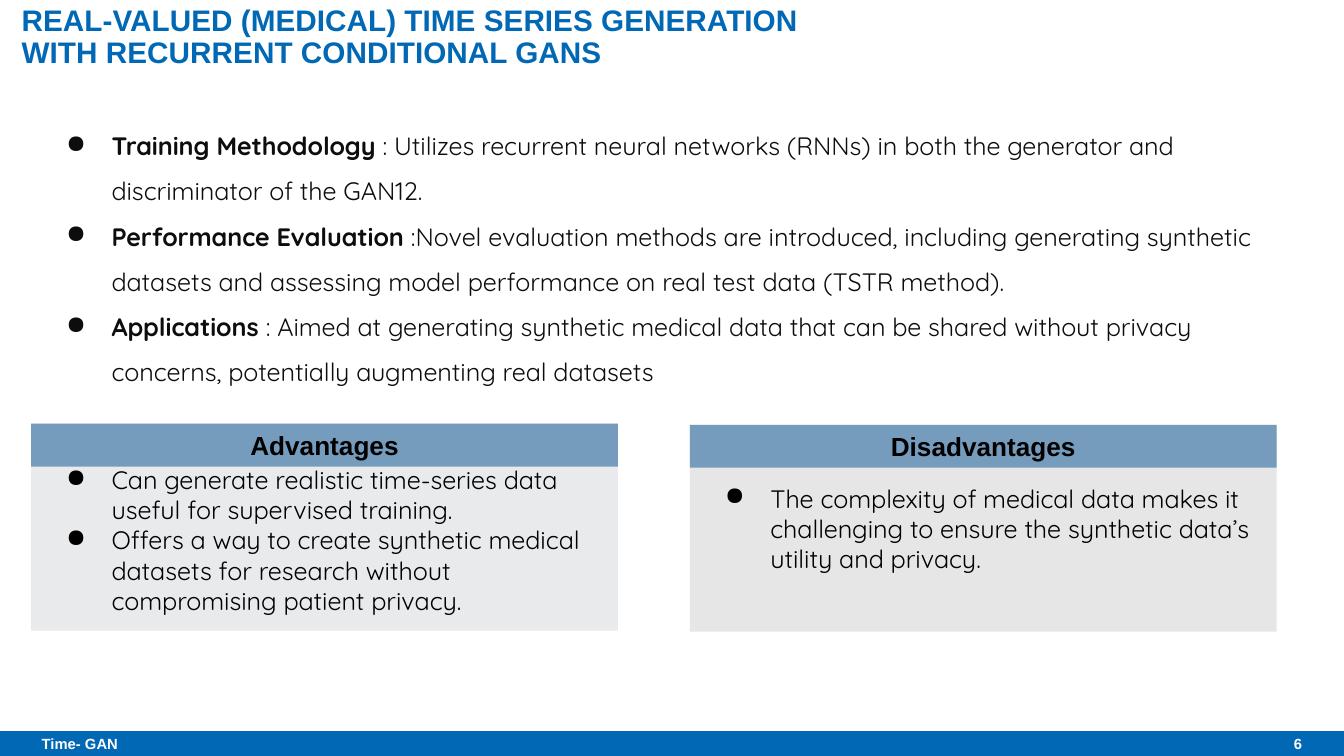
from dataclasses import dataclass

from lxml import etree
from pptx import Presentation
from pptx.dml.color import RGBColor
from pptx.enum.shapes import MSO_SHAPE
from pptx.enum.text import MSO_ANCHOR, PP_ALIGN
from pptx.oxml.ns import qn
from pptx.util import Cm, Pt

RECTANGLE = MSO_SHAPE.RECTANGLE
TOP, MIDDLE = MSO_ANCHOR.TOP, MSO_ANCHOR.MIDDLE
LEFT, CENTER, RIGHT = PP_ALIGN.LEFT, PP_ALIGN.CENTER, PP_ALIGN.RIGHT

COLORS = {
    "blue": "0068B4",
    "header": "769CBD",
    "pale": "E9EAEB",
    "grey": "E7E6E6",
    "ink": "0D0D0D",
    "black": "000000",
    "white": "FFFFFF",
}
HEADING_FONT, BODY_FONT = "Arial", "Quicksand"
BODY_SIZE = 13.5
PAGE_WIDTH, PAGE_HEIGHT = 25.4, 14.29
FOOTER_TOP, FOOTER_HEIGHT = 13.82, 0.47
CARD_WIDTH, CARD_HEIGHT, HEADER_HEIGHT = 11.09, 3.91, 0.81
INSETS = (0.25, 0.25, 0.25, 0.25)


@dataclass(frozen=True)
class Area:
    """A rectangle in centimetres."""

    left: float
    top: float
    width: float
    height: float

    def lengths(self) -> list[Cm]:
        return [Cm(value) for value in (self.left, self.top, self.width, self.height)]


@dataclass(frozen=True)
class Span:
    text: str
    bold: bool = False


@dataclass(frozen=True)
class Card:
    left: float
    top: float
    fill: str
    heading: str
    points: tuple[str, ...]
    top_inset: float = 0.25


TOPICS = [
    [Span("Training Methodology", True),
     Span(" : Utilizes recurrent neural networks (RNNs) in both the generator and "
          "discriminator of the GAN12.")],
    [Span("Performance Evaluation", True),
     Span(" :Novel evaluation methods are introduced, including generating synthetic "
          "datasets and assessing model performance on real test data (TSTR method).")],
    [Span("Applications ", True),
     Span(": Aimed at generating synthetic medical data that can be shared without "
          "privacy concerns, potentially augmenting real datasets")],
]

CARDS = [
    Card(0.59, 8.01, "pale", "Advantages",
         ("Can generate realistic time-series data useful for supervised training.",
          "Offers a way to create synthetic medical datasets for research without "
          "compromising patient privacy."), top_inset=0.73),
    Card(13.04, 8.03, "grey", "Disadvantages",
         ("The complexity of medical data makes it challenging to ensure the synthetic "
          "data’s utility and privacy.",)),
]


def add_bullet(para, color: str) -> None:
    properties = para._p.get_or_add_pPr()
    properties.set("marL", str(Cm(1.27)))
    properties.set("indent", str(Cm(-0.86)))
    bullet_color = etree.SubElement(properties, qn("a:buClr"))
    etree.SubElement(bullet_color, qn("a:srgbClr")).set("val", COLORS[color])
    etree.SubElement(properties, qn("a:buChar")).set("char", "●")


def write(box, paragraphs: list[list[Span]], *, size: float, color: str, font: str,
          align=LEFT, anchor=MIDDLE, insets=INSETS, spacing: float = 1.0,
          bullets: bool = False) -> None:
    """Fill a box with paragraphs; insets run left, top, right, bottom."""
    frame = box.text_frame
    frame.word_wrap = True
    frame.vertical_anchor = anchor
    frame.margin_left, frame.margin_top, frame.margin_right, frame.margin_bottom = map(Cm, insets)
    for index, spans in enumerate(paragraphs):
        para = frame.add_paragraph() if index else frame.paragraphs[0]
        para.alignment = align
        para.line_spacing = spacing
        if bullets:
            add_bullet(para, color)
        for span in spans:
            run = para.add_run()
            run.text = span.text
            run.font.name = font
            run.font.size = Pt(size)
            run.font.bold = span.bold
            run.font.color.rgb = RGBColor.from_string(COLORS[color])


def add_panel(shapes, area: Area, fill: str):
    panel = shapes.add_shape(RECTANGLE, *area.lengths())
    panel.shadow.inherit = False
    panel.fill.solid()
    panel.fill.fore_color.rgb = RGBColor.from_string(COLORS[fill])
    panel.line.fill.background()
    return panel


def add_label(page, area: Area, text: str, **text_format) -> None:
    box = page.shapes.add_textbox(*area.lengths())
    write(box, [[Span(text, True)]], font=HEADING_FONT, **text_format)


def add_card(page, card: Card) -> None:
    shapes = page.shapes.add_group_shape().shapes
    body = add_panel(shapes, Area(card.left, card.top, CARD_WIDTH, CARD_HEIGHT), card.fill)
    write(body, [[Span(point)] for point in card.points], size=BODY_SIZE, color="black",
          font=BODY_FONT, insets=(0.25, card.top_inset, 0.25, 0.25), bullets=True)
    header = add_panel(shapes, Area(card.left, card.top, CARD_WIDTH, HEADER_HEIGHT), "header")
    write(header, [[Span(card.heading, True)]], size=14, color="black",
          font=HEADING_FONT, align=CENTER)


def main() -> None:
    deck = Presentation()
    deck.slide_width, deck.slide_height = Cm(PAGE_WIDTH), Cm(PAGE_HEIGHT)
    page = deck.slides.add_slide(deck.slide_layouts[6])

    add_panel(page.shapes, Area(0, FOOTER_TOP, PAGE_WIDTH, FOOTER_HEIGHT), "blue")
    add_label(page, Area(0, 0, 15.95, 1.45),
              "REAL-VALUED (MEDICAL) TIME SERIES GENERATION WITH RECURRENT CONDITIONAL GANS",
              size=15.9, color="blue", insets=(0.41, 0, 0.25, 0), spacing=0.9)
    add_label(page, Area(22.22, FOOTER_TOP, 2.39, FOOTER_HEIGHT), "6",
              size=7.9, color="white", align=RIGHT, insets=(0.25, 0.13, 0, 0.13))
    add_label(page, Area(0.79, FOOTER_TOP, 8.59, FOOTER_HEIGHT), "Time- GAN",
              size=7.9, color="white", insets=(0, 0.13, 0.25, 0.13))

    topics = page.shapes.add_textbox(*Area(0.59, 1.93, 23.55, 5.71).lengths())
    write(topics, TOPICS, size=BODY_SIZE, color="ink", font=BODY_FONT, anchor=TOP,
          spacing=1.5, bullets=True)
    for card in CARDS:
        add_card(page, card)

    deck.save("out.pptx")


if __name__ == "__main__":
    main()
